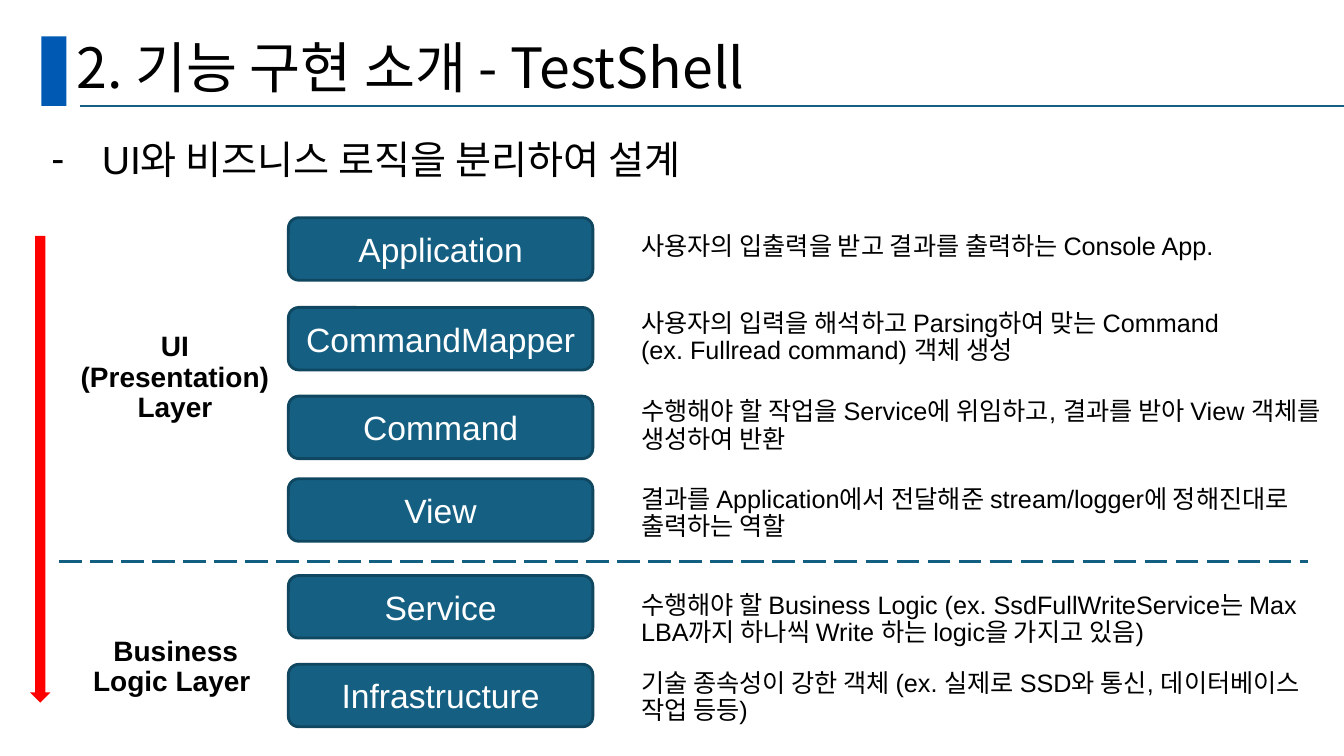
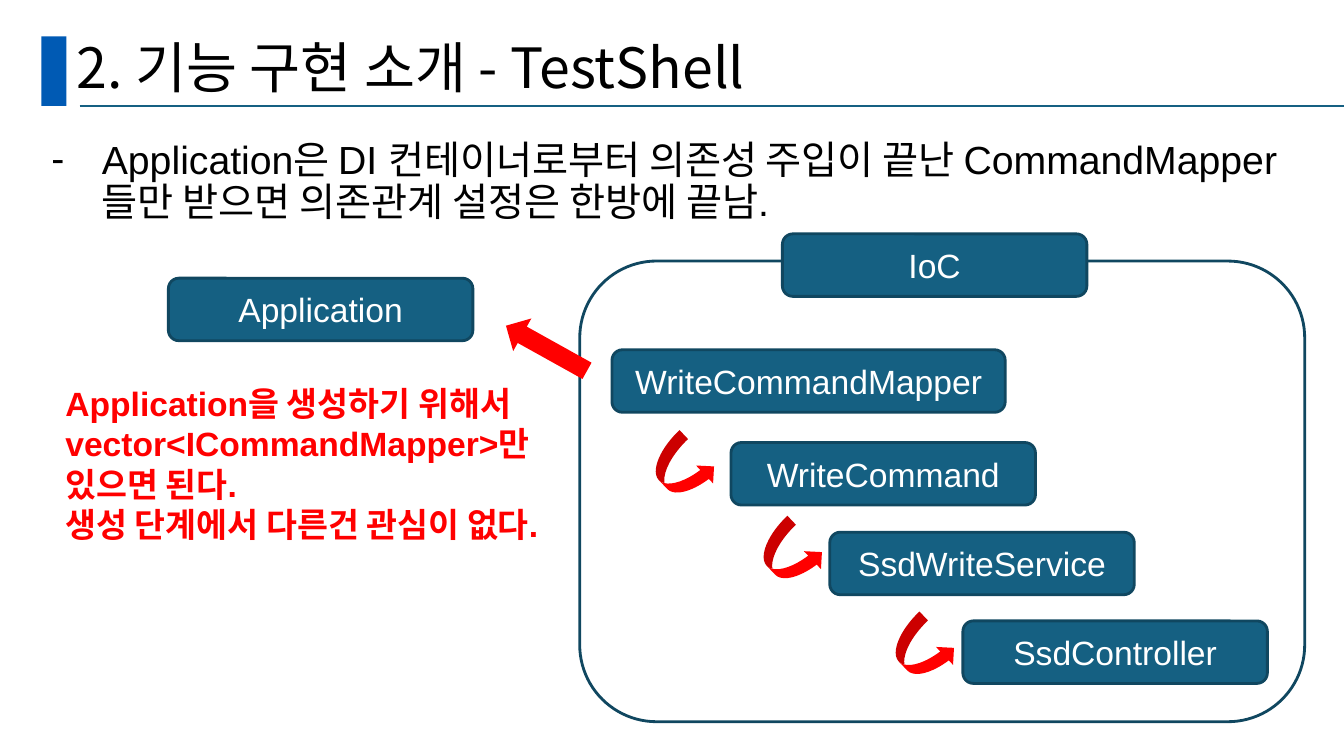
from lxml.etree import SubElement
from pptx import Presentation
from pptx.dml.color import RGBColor
from pptx.enum.dml import MSO_LINE
from pptx.enum.shapes import MSO_CONNECTOR, MSO_SHAPE
from pptx.enum.text import MSO_ANCHOR, MSO_AUTO_SIZE, PP_ALIGN
from pptx.oxml.ns import qn
from pptx.util import Inches, Pt

WIDE, HIGH = 13.33, 7.5
BLUE, TEAL, EDGE, DASH = "005AB4", "156082", "104760", "125F82"
RED, BLACK, WHITE = "FF0000", "000000", "FFFFFF"
SANS, KOREAN = "Arial", "Noto Sans CJK KR"
BOX_W, BOX_H = 3.02, 0.62
BOX_X, NOTE_X, NOTE_W = 2.86, 6.07, 7.16
SPLIT = 5.57

TITLE = "2. 기능 구현 소개 - TestShell"
LEADS = [
    ("UI와 비즈니스 로직을 분리하여 설계", 0.53),
    ("Application은 DI 컨테이너로부터 의존성 주입이 끝난 CommandMapper들만 받으면 의존관계 설정은 한방에 끝남.", 0.95),
]
LAYERS = [
    ("UI (Presentation) Layer", (0.5, 3.25, 2.28, 1.01)),
    (" Business Logic Layer", (0.36, 6.27, 2.5, 0.71)),
]
PARTS = [
    ("Application", 2.16, 2.27, ["사용자의 입출력을 받고 결과를 출력하는 Console App."]),
    ("CommandMapper", 3.05, 3.03, ["사용자의 입력을 해석하고 Parsing하여 맞는 Command",
                                   "(ex. Fullread command) 객체 생성"]),
    ("Command", 3.93, 3.91, ["수행해야 할 작업을 Service에 위임하고, 결과를 받아 View 객체를 생성하여 반환"]),
    ("View", 4.75, 4.78, ["결과를 Application에서 전달해준 stream/logger에 정해진대로 출력하는 역할"]),
    ("Service", 5.71, 5.83, ["수행해야 할 Business Logic (ex. SsdFullWriteService는 Max LBA까지 하나씩 Write 하는 logic을 가지고 있음)"]),
    ("Infrastructure", 6.59, 6.6, ["기술 종속성이 강한 객체 (ex. 실제로 SSD와 통신, 데이터베이스 작업 등등)"]),
]
CHAIN = [
    ("Application", 1.67, 2.76, BOX_W),
    ("WriteCommandMapper", 6.07, 3.47, 3.9),
    ("WriteCommand", 7.25, 4.39, BOX_W),
    ("SsdWriteService", 8.23, 5.28, BOX_W),
    ("SsdController", 9.55, 6.16, BOX_W),
    ("IoC", 7.76, 2.32, BOX_W),
]
HOOKS = [(6.53, 4.35), (7.6, 5.2), (8.91, 6.15)]
CLAIM = ["Application을 생성하기 위해서 vector<ICommandMapper>만 있으면 된다.",
         "생성 단계에서 다른건 관심이 없다."]


def color(code):
    """Turn a hex string into a colour."""
    return RGBColor.from_string(code)


def place(shape, *area):
    """Set left, top, width and height in inches."""
    shape.left, shape.top, shape.width, shape.height = map(Inches, area)


def write(shape, lines, size, ink=BLACK, font=SANS, bold=False, align=PP_ALIGN.LEFT,
          space=0.9, indent=0, anchor=MSO_ANCHOR.TOP):
    """Fill a text frame and format its paragraphs."""
    frame = shape.text_frame
    frame.text = "\n".join(lines)
    frame.word_wrap = True
    frame.auto_size = MSO_AUTO_SIZE.NONE
    frame.vertical_anchor = anchor
    for para in frame.paragraphs:
        para.alignment, para.line_spacing = align, space
        para.space_before = Pt(0)
        if indent:
            para._p.get_or_add_pPr().set("marL", str(Inches(indent)))
        for run in para.runs:
            run.font.size, run.font.name, run.font.bold = Pt(size), font, bold
            run.font.color.rgb = color(ink)
            SubElement(run.font._element, qn("a:ea"), typeface=KOREAN)


def note(slide, lines, area, size, **style):
    """Add a text box."""
    write(slide.shapes.add_textbox(*map(Inches, area)), lines, size, **style)


def draw(slide, kind, area, fill=None, edge=None, turn=0):
    """Add a flat preset shape."""
    shape = slide.shapes.add_shape(kind, *map(Inches, area))
    shape.shadow.inherit = False
    shape.rotation = turn
    if fill:
        shape.fill.solid()
        shape.fill.fore_color.rgb = color(fill)
    else:
        shape.fill.background()
    if edge:
        shape.line.color.rgb = color(edge)
        shape.line.width = Pt(2)
    else:
        shape.line.fill.background()
    return shape


def box(slide, name, left, top, width=BOX_W):
    """Add a named rounded box."""
    shape = draw(slide, MSO_SHAPE.ROUNDED_RECTANGLE, (left, top, width, BOX_H), TEAL, EDGE)
    write(shape, [name], 24, WHITE, align=PP_ALIGN.CENTER, space=1, anchor=MSO_ANCHOR.MIDDLE)


def rule(slide, left, right, top, ink, width):
    """Add a level line."""
    line = slide.shapes.add_connector(
        MSO_CONNECTOR.STRAIGHT, *map(Inches, (left, top, right, top)))
    line.line.color.rgb = color(ink)
    line.line.width = Pt(width)
    SubElement(line._element.spPr, qn("a:effectLst"))
    return line


def dress(slide):
    """Move the title band and rule to the shared layout."""
    band = draw(slide, MSO_SHAPE.RECTANGLE, (0.41, 0.36, 0.25, 0.69), BLUE)
    base = rule(slide, 0.79, WIDE, 1.05, TEAL, 1.5)
    for part in (band, base):
        slide.slide_layout.shapes.element.append(part.element)


def start(deck, lead, height):
    """Add a slide with its title and lead bullet."""
    slide = deck.slides.add_slide(deck.slide_layouts[1])
    title, body = slide.placeholders
    place(title, 0.66, 0.34, 11.5, 0.71)
    write(title, [TITLE], 39.6, font=KOREAN, anchor=MSO_ANCHOR.MIDDLE)
    place(body, 0.22, 1.34, 12.84, height)
    write(body, [lead], 28, indent=0.69)
    props = body.text_frame.paragraphs[0]._p.get_or_add_pPr()
    props.set("indent", str(Inches(-0.5)))
    SubElement(props, qn("a:buChar"), char="-")
    return slide


def layers(slide):
    """Draw the two layers and what their parts do."""
    line = rule(slide, 0.59, 12.97, SPLIT, DASH, 2)
    line.line.dash_style = MSO_LINE.LONG_DASH
    for name, area in LAYERS:
        note(slide, [name], area, 20, bold=True, align=PP_ALIGN.CENTER, indent=0.19)
    for name, top, text_top, lines in PARTS:
        box(slide, name, BOX_X, top)
        height = 0.37 if name == "Application" else 0.65
        note(slide, lines, (NOTE_X, text_top, NOTE_W, height), 18, indent=0.19)
    draw(slide, MSO_SHAPE.DOWN_ARROW, (0.3, 2.34, 0.2, 4.63), RED)


def wiring(slide):
    """Draw the container and the chain of objects inside it."""
    draw(slide, MSO_SHAPE.ROUNDED_RECTANGLE, (5.75, 2.59, 7.19, 4.57), edge=EDGE)
    for item in CHAIN:
        box(slide, *item)
    for left, top in HOOKS:
        draw(slide, MSO_SHAPE.CURVED_RIGHT_ARROW, (left, top, 0.49, 0.62), RED, turn=316.5)
    draw(slide, MSO_SHAPE.RIGHT_ARROW, (4.96, 3.27, 0.92, 0.37), RED, turn=209.1)
    note(slide, CLAIM, (0.55, 3.75, 4.88, 2.12), 24, ink=RED, bold=True, space=1)


def main():
    """Build and save the deck."""
    deck = Presentation()
    deck.slide_width, deck.slide_height = Inches(WIDE), Inches(HIGH)
    first, second = [start(deck, *lead) for lead in LEADS]
    dress(first)
    layers(first)
    wiring(second)
    deck.save("out.pptx")


if __name__ == "__main__":
    main()
